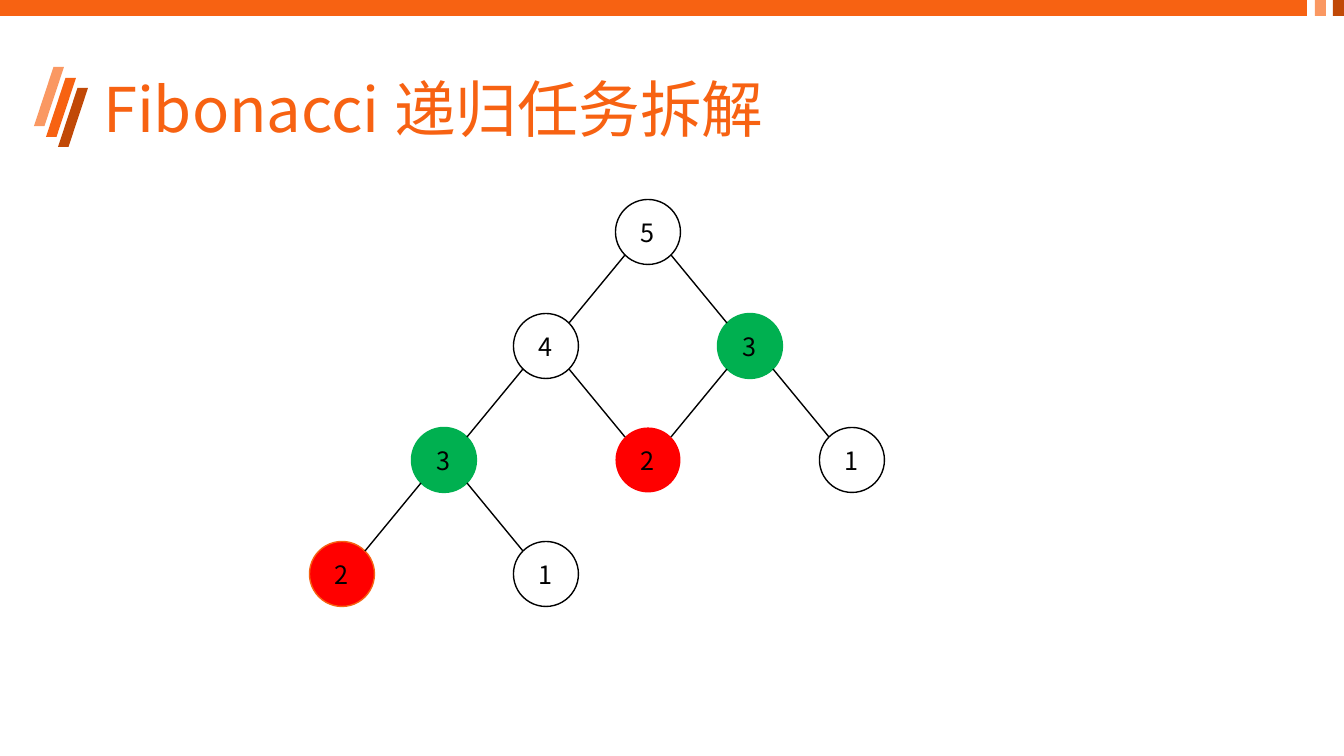
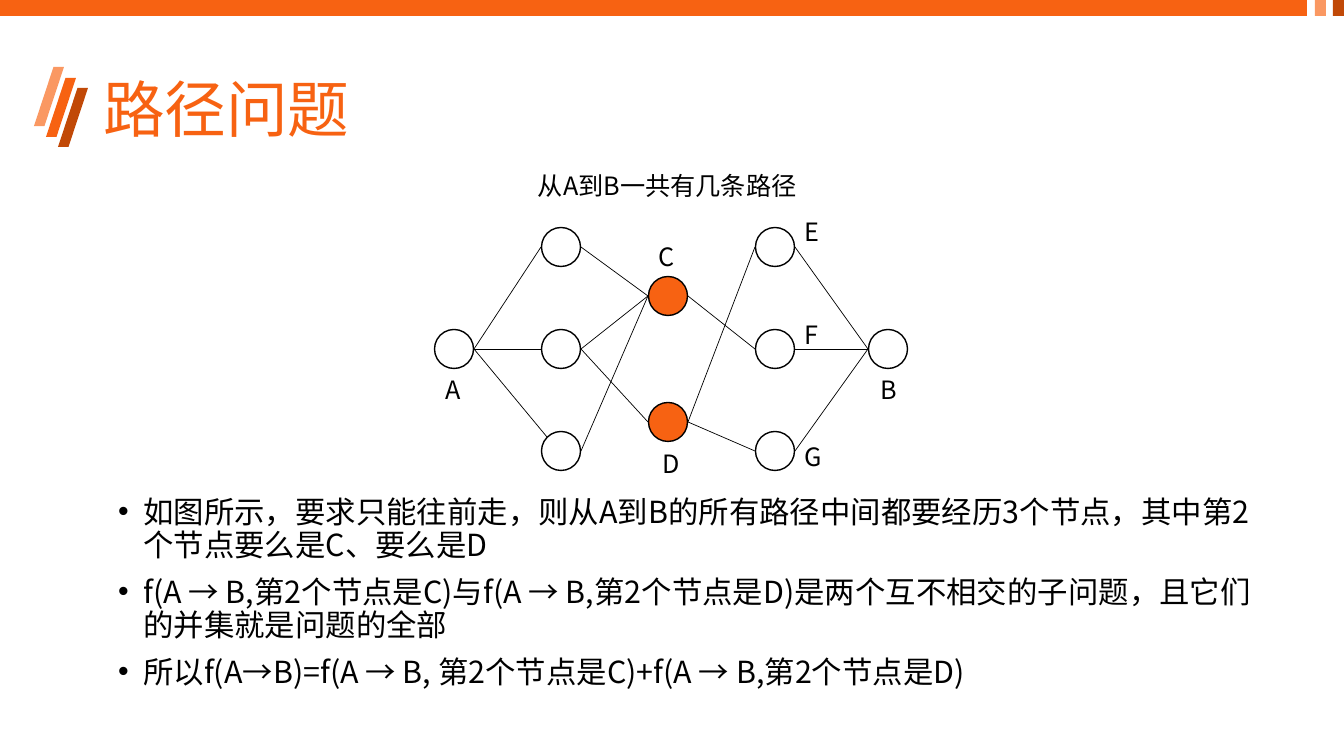
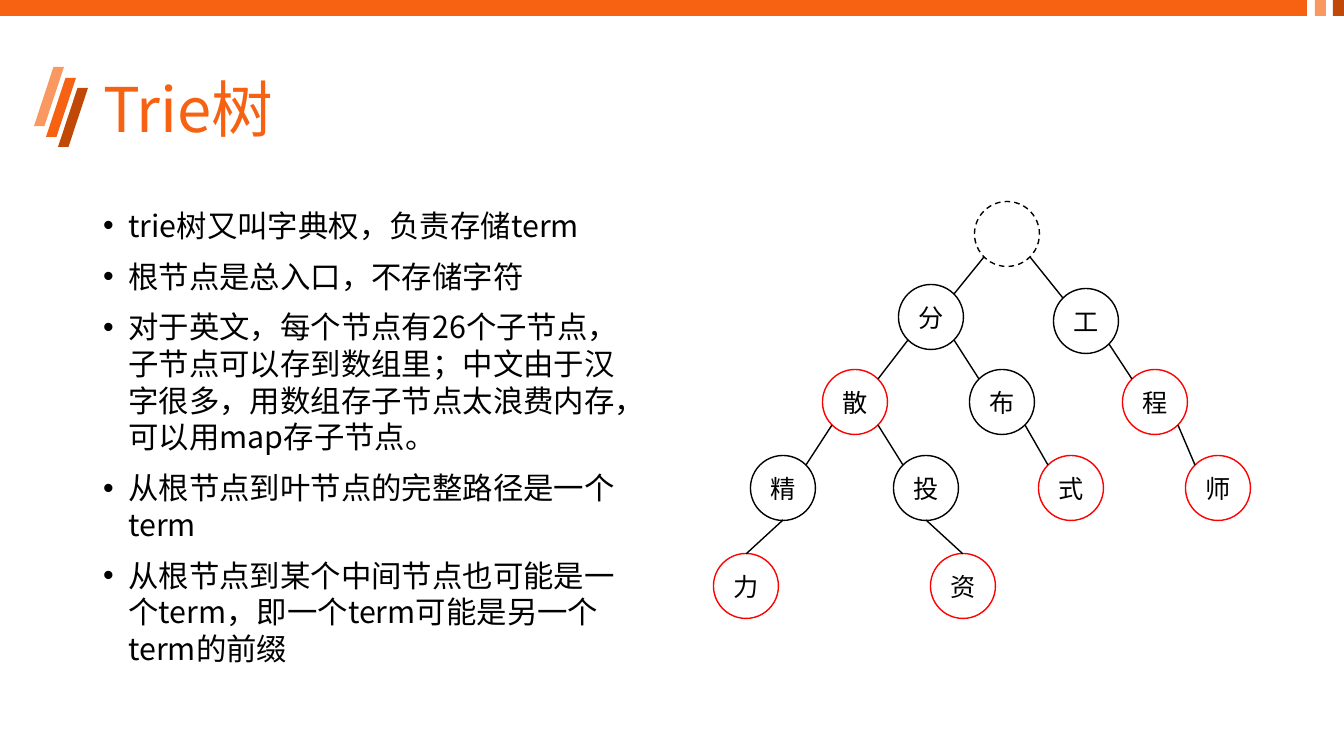
import pptx
import pptx.util
import pptx.dml.color
import pptx.enum.dml
import pptx.enum.shapes
import pptx.enum.text
import pptx.oxml.ns
import lxml.etree

PX = 914400 / 100.8
FONT = "Noto Sans CJK SC"
HUES = {
    "main": "F76212", "light": "FA9862", "dark": "C14907",
    "black": "000000", "white": "FFFFFF", "red": "FF0000", "green": "00B050",
}
KIND = pptx.enum.shapes.MSO_SHAPE
ALIGN = pptx.enum.text.PP_ALIGN
MID = pptx.enum.text.MSO_ANCHOR.MIDDLE


def emu(*sizes):
    return [round(size * PX) for size in sizes]


def hue(name):
    return pptx.dml.color.RGBColor.from_string(HUES[name])


def tag(parent, name, **attrs):
    return lxml.etree.SubElement(parent, pptx.oxml.ns.qn(name), **attrs)


class Deck:
    """Holds the shared style and the current slide."""

    def __init__(self):
        self.prs = pptx.Presentation()
        self.prs.slide_width, self.prs.slide_height = emu(1344, 756)
        self.slide = None

    def page(self, title, layout):
        first = self.slide is None
        self.slide = self.prs.slides.add_slide(self.prs.slide_layouts[layout])
        if first:
            self.frame()
        box = self.slide.shapes.title
        self.place(box, 93, 40, 1159, 146)
        frame = box.text_frame
        frame.text = title
        frame.vertical_anchor = MID
        line = frame.paragraphs[0]
        line.alignment = ALIGN.LEFT
        line.line_spacing = 0.9
        self.style(line, 44, "main")

    def frame(self):
        """Put the band and the slanted marks on the master."""
        parts = [self.shape(KIND.RECTANGLE, x, 0, wide, 16, fill)
                 for x, wide, fill in ((0, 1307, "main"), (1315, 11, "light"),
                                       (1333, 11, "dark"))]
        for x, y, fill in ((46, 78, "main"), (34, 67, "light"), (58, 88, "dark")):
            mark = self.shape(KIND.PARALLELOGRAM, x, y, 30, 59, fill)
            mark.adjustments[0] = 0.65
            parts.append(mark)
        tree = self.prs.slide_master.shapes.element
        for count, part in enumerate(parts, 100):
            part.element.nvSpPr.cNvPr.id = count
            tree.append(part.element)

    def place(self, box, x, y, wide, high):
        box.left, box.top, box.width, box.height = emu(x, y, wide, high)
        box.text_frame.word_wrap = True
        box.text_frame.auto_size = pptx.enum.text.MSO_AUTO_SIZE.NONE

    def style(self, line, size, color="black"):
        for run in line.runs:
            run.font.size = pptx.util.Pt(size)
            run.font.name = FONT
            run.font.color.rgb = hue(color)
            tag(run._r.get_or_add_rPr(), "a:ea", typeface=FONT)

    def shape(self, kind, x, y, wide, high, fill=None, edge=None):
        item = self.slide.shapes.add_shape(kind, *emu(x, y, wide, high))
        item.shadow.inherit = False
        if fill:
            item.fill.solid()
            item.fill.fore_color.rgb = hue(fill)
        else:
            item.fill.background()
        if edge:
            item.line.color.rgb = hue(edge)
            item.line.width = pptx.util.Pt(1)
        else:
            item.line.fill.background()
        return item

    def node(self, x, y, size, text="", fill=None, edge="black"):
        """Draw a circle around the point x, y."""
        item = self.shape(KIND.OVAL, x - size / 2, y - size / 2, size, size, fill, edge)
        if text:
            frame = item.text_frame
            frame.margin_left = frame.margin_right = 0
            frame.margin_top = frame.margin_bottom = 0
            frame.vertical_anchor = MID
            frame.text = text
            frame.paragraphs[0].alignment = ALIGN.CENTER
            self.style(frame.paragraphs[0], 18)
        return item

    def link(self, x1, y1, x2, y2, width=1):
        item = self.slide.shapes.add_connector(
            pptx.enum.shapes.MSO_CONNECTOR.STRAIGHT, *emu(x1, y1, x2, y2))
        item.line.color.rgb = hue("black")
        item.line.width = pptx.util.Pt(width)
        tag(item.element.spPr, "a:effectLst")

    def branch(self, top, low, steep=False):
        """Join two tree nodes, at their diagonals or from bottom to top."""
        side = 1 if low[0] > top[0] else -1
        dx, dy = (0, 32) if steep else (23 * side, 23)
        self.link(top[0] + dx, top[1] + dy, low[0] - dx, low[1] - dy)

    def label(self, text, x, y, wide=39):
        box = self.slide.shapes.add_textbox(*emu(x, y, wide, 40))
        box.text_frame.word_wrap = True
        box.text_frame.text = text
        line = box.text_frame.paragraphs[0]
        line.line_spacing = pptx.util.Pt(21.6)
        self.style(line, 18)

    def bullets(self, texts, spot, pitch):
        box = self.slide.placeholders[1]
        self.place(box, *spot)
        box.text_frame.text = "\n".join(texts)
        for count, line in enumerate(box.text_frame.paragraphs):
            line.line_spacing = pptx.util.Pt(pitch)
            line.space_before = pptx.util.Pt(10 if count else 0)
            props = line._p.get_or_add_pPr()
            props.set("marL", "228600")
            props.set("indent", "-228600")
            tag(props, "a:buFont", typeface="Arial")
            tag(props, "a:buChar", char="•")
            self.style(line, 21.7)


def calls(deck):
    deck.page("Fibonacci 递归任务拆解", 5)
    # Text, column, row, fill, edge
    nodes = (
        ("5", 3, 0, "white", "black"),
        ("4", 2, 1, None, "black"), ("3", 4, 1, "green", "green"),
        ("3", 1, 2, "green", "green"), ("2", 3, 2, "red", None),
        ("1", 5, 2, None, "black"),
        ("2", 0, 3, "red", "main"), ("1", 2, 3, None, "black"),
    )
    spots = [(342 + 102 * col, 232 + 114 * row) for _, col, row, _, _ in nodes]
    for (text, _, _, fill, edge), spot in zip(nodes, spots):
        deck.node(*spot, 65, text, fill, edge)
    for top, low in ((0, 1), (0, 2), (1, 3), (1, 4), (2, 4), (2, 5), (3, 6), (3, 7)):
        deck.branch(spots[top], spots[low])


def routes(deck):
    deck.page("路径问题", 1)
    deck.bullets((
        "如图所示，要求只能往前走，则从A到B的所有路径中间都要经历3个节点，其中第2个节点要么是C、要么是D",
        "f(A → B,第2个节点是C)与f(A → B,第2个节点是D)是两个互不相交的子问题，且它们的并集就是问题的全部",
        "所以f(A→B)=f(A → B, 第2个节点是C)+f(A → B,第2个节点是D)",
    ), (108, 491, 1159, 207), 23.6)

    # Graph nodes
    spots = {"A": (454, 349), "B": (888, 349), "C": (668, 296), "D": (668, 422)}
    for row, (left, right) in enumerate(("1E", "2F", "3G")):
        spots[left] = (561, 247 + 102 * row)
        spots[right] = (775, 247 + 102 * row)
    for name, spot in spots.items():
        deck.node(*spot, 39, fill="main" if name in "CD" else "white")

    # Paths run from a right side to a left side
    for start, end in ("A1", "A2", "1C", "2C", "2D", "3C", "CF", "DE", "DG",
                       "EB", "FB", "GB"):
        (x1, y1), (x2, y2) = spots[start], spots[end]
        deck.link(x1 + 20, y1, x2 - 20, y2, 0.5)
    deck.link(474, 349, 547, 437, 0.5)

    # Labels
    for name, x, y in (("A", 436, 369), ("B", 871, 369), ("C", 649, 236),
                       ("D", 653, 443), ("E", 795, 211), ("F", 795, 314),
                       ("G", 795, 436)):
        deck.label(name, x, y)
    deck.label("从A到B一共有几条路径", 528, 165, 281)


def trie(deck):
    deck.page("Trie树", 1)
    deck.bullets((
        "trie树又叫字典权，负责存储term",
        "根节点是总入口，不存储字符",
        "对于英文，每个节点有26个子节点，子节点可以存到数组里；中文由于汉字很多，用数组存子节点太浪费内存，可以用map存子节点。",
        "从根节点到叶节点的完整路径是一个term",
        "从根节点到某个中间节点也可能是一个term，即一个term可能是另一个term的前缀",
    ), (93, 202, 537, 480), 26.2)

    # Tree; a red edge marks the end of a term
    spots = {
        "": (1007, 234), "分": (931, 317), "工": (1086, 321),
        "散": (855, 402), "布": (1002, 402), "程": (1155, 402),
        "精": (783, 488), "投": (926, 488), "式": (1071, 488), "师": (1218, 488),
        "力": (746, 586), "资": (963, 586),
    }
    for text, spot in spots.items():
        ends = text and text in "散程式师力资"
        item = deck.node(*spot, 65, text, edge="red" if ends else "black")
        if not text:
            item.line.dash_style = pptx.enum.dml.MSO_LINE.DASH
    for top, lows in (("", "分工"), ("分", "散布"), ("工", "程"), ("散", "精投"),
                      ("布", "式"), ("程", "师"), ("精", "力"), ("投", "资")):
        for low in lows:
            deck.branch(spots[top], spots[low], low in "力资")


def main():
    deck = Deck()
    calls(deck)
    routes(deck)
    trie(deck)
    deck.prs.save("out.pptx")


if __name__ == "__main__":
    main()
